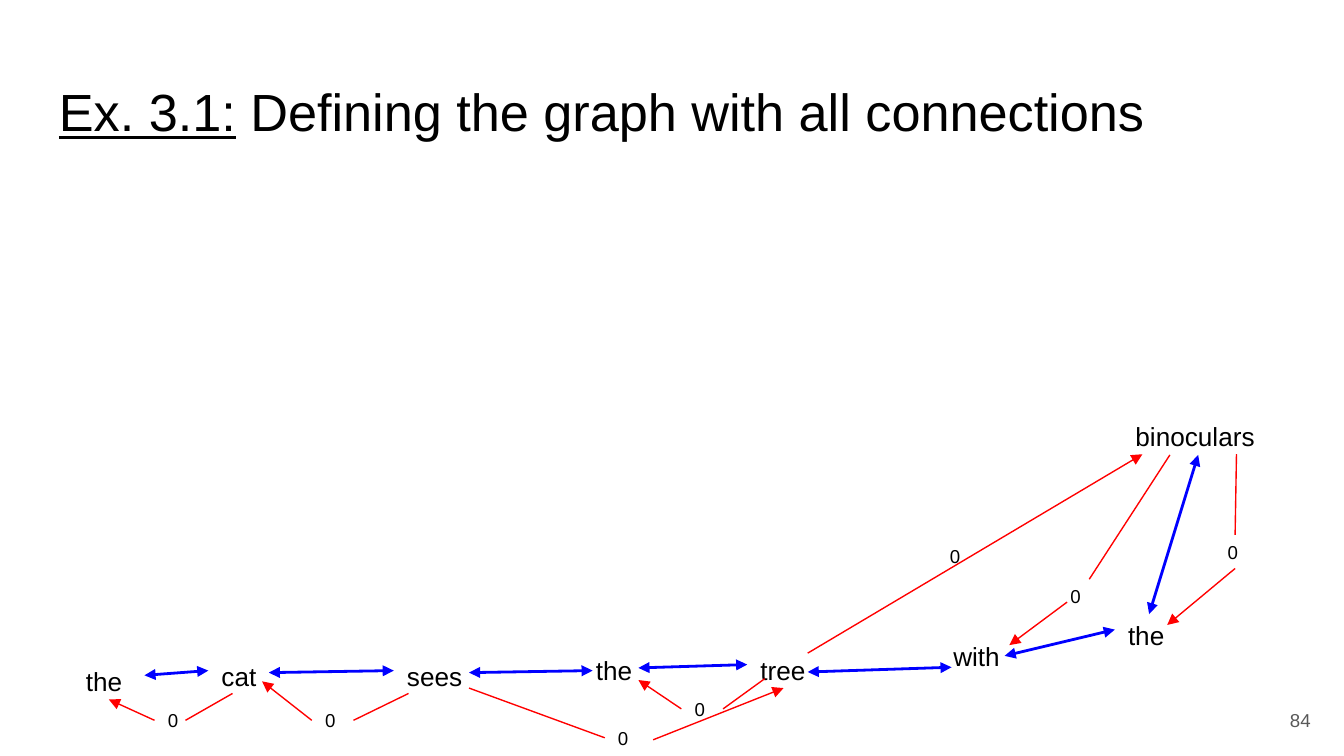
from pptx import Presentation
from pptx.dml.color import RGBColor
from pptx.enum.shapes import MSO_CONNECTOR, MSO_SHAPE
from pptx.enum.text import MSO_ANCHOR, PP_ALIGN
from pptx.oxml.ns import qn
from pptx.util import Pt
from lxml.etree import SubElement

PX = 4572
BLACK, WHITE, GRAY, RED, BLUE = "000000", "FFFFFF", "595959", "FF0000", "0000FF"


def color(value):
    return RGBColor.from_string(value)


def write(shape, text, size, ink=BLACK, anchor=MSO_ANCHOR.TOP, align=PP_ALIGN.LEFT):
    frame = shape.text_frame
    frame.word_wrap = True
    frame.vertical_anchor = anchor
    frame.margin_left = frame.margin_right = 20 * PX
    frame.margin_top = frame.margin_bottom = 20 * PX
    frame.text = text
    para = frame.paragraphs[0]
    para.alignment = align
    font = para.runs[0].font
    font.name, font.size = "Arial", Pt(size)
    font.color.rgb = color(ink)
    return para


deck = Presentation()
deck.slide_width, deck.slide_height = 2000 * PX, 1125 * PX
page = deck.slides.add_slide(deck.slide_layouts[6])
shapes = page.shapes

title = shapes.add_textbox(68 * PX, 98 * PX, 1864 * PX, 124 * PX)
para = write(title, "Ex. 3.1:", 28)
para.runs[0].font.underline = True
span = para.add_run()
span.text = " Defining the graph with all connections"
span.font.name, span.font.size = "Arial", Pt(28)
span.font.color.rgb = color(BLACK)

number = shapes.add_textbox(1850 * PX, 1029 * PX, 120 * PX, 86 * PX)
write(number, "84", 10, GRAY, MSO_ANCHOR.MIDDLE, PP_ALIGN.RIGHT)

words = [
    ("the", 108, 970, 108), ("cat", 310, 963, 108), ("sees", 586, 963, 146),
    ("the", 867, 954, 108), ("tree", 1112, 954, 108), ("with", 1399, 933, 152),
    ("the", 1659, 902, 108), ("binoculars", 1670, 606, 226),
]
for word, left, top, width in words:
    box = shapes.add_textbox(left * PX, top * PX, width * PX, 70 * PX)
    write(box, word, 14)

weights = [
    (230, 1047, 62), (464, 1047, 62), (1014, 1030, 62), (1573, 862, 62),
    (1807, 796, 62), (900, 1073, 72), (1394, 803, 72),
]
for left, top, width in weights:
    box = shapes.add_shape(MSO_SHAPE.RECTANGLE, left * PX, top * PX, width * PX, 50 * PX)
    box.shadow.inherit = False
    box.fill.solid()
    box.fill.fore_color.rgb = color(WHITE)
    box.line.fill.background()
    write(box, "0", 10, anchor=MSO_ANCHOR.MIDDLE)

stems = [
    (346, 1032, 276, 1072), (608, 1032, 526, 1072), (1138, 1010, 1076, 1055),
    (1741, 677, 1621, 862), (1840, 676, 1838, 796), (698, 1024, 900, 1098),
]
arrows = [
    (230, 1072, 162, 1041), (1014, 1055, 950, 1012), (464, 1072, 390, 1014),
    (1588, 896, 1502, 960), (1838, 846, 1737, 930), (972, 1101, 1166, 1024),
    (1202, 972, 1700, 676),
]
neighbors = [
    (215, 1005, 310, 998), (400, 1001, 586, 998), (698, 1001, 882, 998),
    (950, 994, 1112, 989), (1202, 1000, 1416, 993), (1495, 976, 1659, 937),
    (1710, 914, 1783, 677),
]
edge_styles = [
    (stems, RED, 0.75, []),
    (arrows, RED, 0.75, ["a:tailEnd"]),
    (neighbors, BLUE, 1.5, ["a:headEnd", "a:tailEnd"]),
]
for edges, ink, weight, ends in edge_styles:
    for edge in edges:
        line = shapes.add_connector(MSO_CONNECTOR.STRAIGHT, *[value * PX for value in edge])
        line.line.color.rgb = color(ink)
        line.line.width = Pt(weight)
        properties = line.line._get_or_add_ln()
        for end in ends:
            SubElement(properties, qn(end), type="triangle")
        SubElement(line._element.spPr, qn("a:effectLst"))

deck.save("out.pptx")
